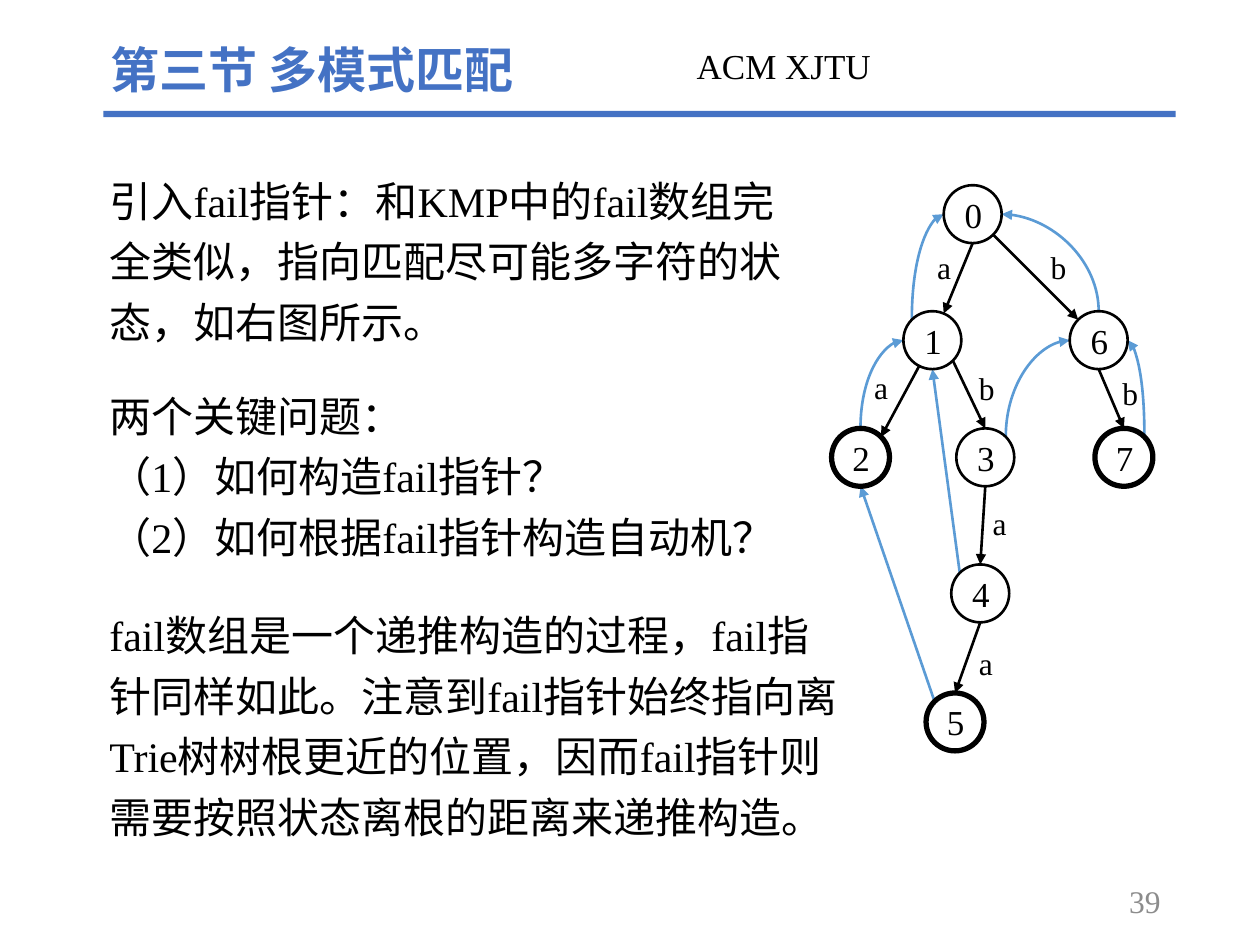
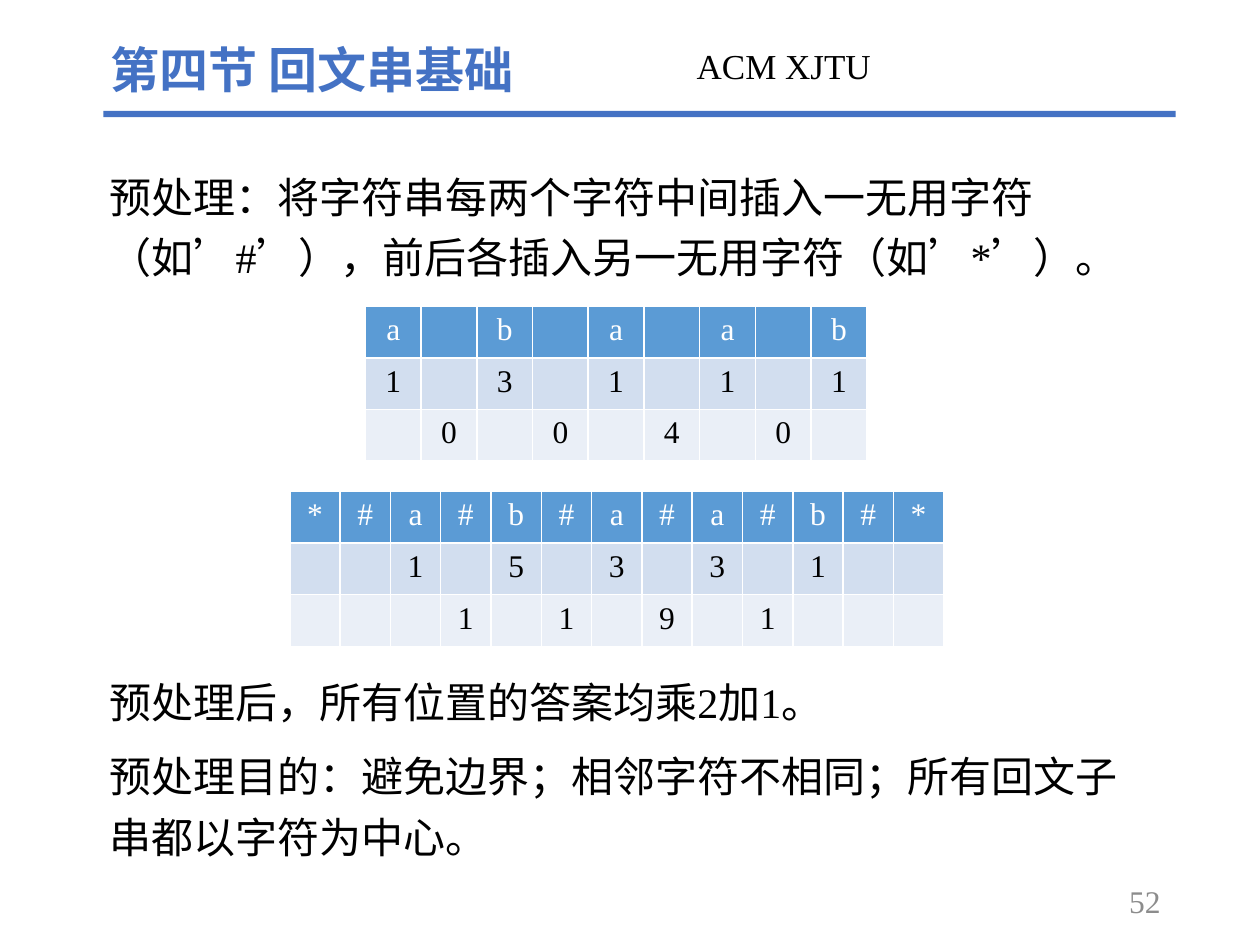
from math import cos, radians, sin

from lxml import etree
from pptx import Presentation
from pptx.dml.color import RGBColor
from pptx.enum.shapes import MSO_CONNECTOR, MSO_SHAPE
from pptx.enum.text import MSO_ANCHOR, MSO_AUTO_SIZE, PP_ALIGN
from pptx.oxml.ns import qn
from pptx.util import Inches, Pt

LEFT, CENTER, RIGHT = PP_ALIGN.LEFT, PP_ALIGN.CENTER, PP_ALIGN.RIGHT
TOP, MIDDLE = MSO_ANCHOR.TOP, MSO_ANCHOR.MIDDLE
STRAIGHT, CURVE = MSO_CONNECTOR.STRAIGHT, MSO_CONNECTOR.CURVE

LATIN_FONT = "Times New Roman"
CJK_FONT = "Noto Sans CJK SC"
BLACK, WHITE, GRAY = "000000", "FFFFFF", "8C8C8C"
TITLE_BLUE, FAIL_BLUE = "4472C4", "5B9BD5"
ROW_FILLS = ("5B9BD5", "D2DEEF", "EAEFF7")

TEXT_LEFT = 0.77
ROW_HEIGHT = 0.41
RADIUS = 0.23

# Angles on a node, clockwise from the right
E, SE, S, W, NW, N, NE = 0, 45, 90, 180, 225, 270, 315

# state: (centre x, centre y)
NODES = {
    "0": (7.72, 1.7), "1": (7.4, 2.7), "6": (8.72, 2.7),
    "2": (6.83, 3.63), "3": (7.82, 3.63), "7": (8.92, 3.63),
    "4": (7.78, 4.71), "5": (7.58, 5.73),
}
FINAL_STATES = "257"

# from state, angle, to state, angle, letter, letter's left and top
TRIE_EDGES = (
    ("0", S, "1", 293, "a", 7.34, 1.92),
    ("0", SE, "6", NW, "b", 8.24, 1.92),
    ("1", 117, "2", NE, "a", 6.84, 2.87),
    ("1", SE, "3", N, "b", 7.67, 2.88),
    ("6", S, "7", N, "b", 8.81, 2.92),
    ("3", S, "4", N, "a", 7.78, 3.95),
    ("4", S, "5", N, "a", 7.67, 5.06),
)
FAIL_LINKS = (
    ("1", NW, "0", W), ("6", N, "0", E), ("2", N, "1", W), ("3", NE, "6", W),
    ("7", NE, "6", E), ("4", NW, "1", S), ("5", NW, "2", S),
)

PLAIN_ROWS = (
    ("a", "", "b", "", "a", "", "a", "", "b"),
    ("1", "", "3", "", "1", "", "1", "", "1"),
    ("", "0", "", "0", "", "4", "", "0", ""),
)
PADDED_ROWS = (
    ("*", "#", "a", "#", "b", "#", "a", "#", "a", "#", "b", "#", "*"),
    ("", "", "1", "", "5", "", "3", "", "3", "", "1", "", ""),
    ("", "", "", "1", "", "1", "", "9", "", "1", "", "", ""),
)


def color(value):
    return RGBColor.from_string(value)


def write(frame, text, size=24, fill=BLACK, font=LATIN_FONT, bold=False,
          align=LEFT, anchor=TOP, spacing=1.0, bullets_off=False):
    """Fill a text frame; each line of text becomes one paragraph."""
    frame.word_wrap = True
    frame.vertical_anchor = anchor
    for index, line in enumerate(text.split("\n")):
        para = frame.add_paragraph() if index else frame.paragraphs[0]
        if bullets_off:
            properties = para._p.get_or_add_pPr()
            properties.set("marL", "0")
            properties.set("indent", "0")
            etree.SubElement(properties, qn("a:buNone"))
        para.alignment = align
        para.line_spacing = spacing
        para.space_before = Pt(0)
        span = para.add_run()
        span.text = line
        span.font.name = font
        span.font.size = Pt(size)
        span.font.bold = bold
        span.font.color.rgb = color(fill)
        east_asian = etree.SubElement(span._r.get_or_add_rPr(), qn("a:ea"))
        east_asian.set("typeface", CJK_FONT)


def place(shape, left, top, width, height):
    shape.left, shape.top = Inches(left), Inches(top)
    shape.width, shape.height = Inches(width), Inches(height)


def add_text(page, text, left, top, width, height, **style):
    box = page.shapes.add_textbox(Inches(left), Inches(top),
                                  Inches(width), Inches(height))
    write(box.text_frame, text, **style)


def add_passage(page, text, top, width, height):
    add_text(page, text, TEXT_LEFT, top, width, height, spacing=1.2)


def fill_placeholder(holder, text, left, top, width, height, **style):
    place(holder, left, top, width, height)
    holder.text_frame.auto_size = MSO_AUTO_SIZE.NONE
    write(holder.text_frame, text, **style)


def add_page(deck, title, number, body, body_top, body_width, body_height):
    """Start a slide with title, header rule, page number and main passage."""
    page = deck.slides.add_slide(deck.slide_layouts[1])
    rule = page.shapes.add_shape(MSO_SHAPE.RECTANGLE, Inches(0.82), Inches(0.88),
                                 Inches(8.51), Inches(0.05))
    rule.shadow.inherit = False
    rule.fill.solid()
    rule.fill.fore_color.rgb = color(TITLE_BLUE)
    rule.line.fill.background()
    fill_placeholder(page.shapes.title, title, 0.78, 0.26, 4.37, 0.57,
                     size=28, fill=TITLE_BLUE, font=CJK_FONT, bold=True)
    fill_placeholder(page.placeholders[1], body, TEXT_LEFT, body_top,
                     body_width, body_height, spacing=1.2, bullets_off=True)
    add_text(page, "ACM XJTU", 5.43, 0.34, 2.51, 0.52, size=20, spacing=0.9)
    add_text(page, number, 7.06, 6.95, 2.25, 0.4, size=18, fill=GRAY,
             align=RIGHT, anchor=MIDDLE)
    return page


def add_node(page, state):
    x, y = NODES[state]
    node = page.shapes.add_shape(
        MSO_SHAPE.OVAL, Inches(x - RADIUS), Inches(y - RADIUS),
        Inches(2 * RADIUS), Inches(2 * RADIUS))
    node.shadow.inherit = False
    node.fill.background()
    node.line.color.rgb = color(BLACK)
    node.line.width = Pt(3 if state in FINAL_STATES else 1.5)
    write(node.text_frame, state, size=20, align=CENTER, anchor=MIDDLE)


def rim_point(state, angle):
    x, y = NODES[state]
    return (Inches(x + RADIUS * cos(radians(angle))),
            Inches(y + RADIUS * sin(radians(angle))))


def add_arrow(page, source, source_angle, target, target_angle, stroke):
    """Arrow between two nodes, bent when it enters from the left or right."""
    start = rim_point(source, source_angle)
    end = rim_point(target, target_angle)
    if target_angle in (E, W):
        # The quarter curve leaves its first point sideways: draw it from the target
        arrow = page.shapes.add_connector(CURVE, *end, *start)
        geometry = arrow._element.spPr.find(qn("a:prstGeom"))
        geometry.set("prst", "curvedConnector2")
        arrow_end = "a:headEnd"
    else:
        arrow = page.shapes.add_connector(STRAIGHT, *start, *end)
        arrow_end = "a:tailEnd"
    arrow.line.color.rgb = color(stroke)
    arrow.line.width = Pt(1.5)
    etree.SubElement(arrow.line._get_or_add_ln(), qn(arrow_end)).set("type", "triangle")
    etree.SubElement(arrow._element.spPr, qn("a:effectLst"))


def add_trie(page):
    for link in FAIL_LINKS:
        add_arrow(page, *link, FAIL_BLUE)
    for state in NODES:
        add_node(page, state)
    for *ends, letter, left, top in TRIE_EDGES:
        add_arrow(page, *ends, BLACK)
        add_text(page, letter, left, top, 0.34, 0.4, size=18)


def add_grid(page, rows, left, top, width):
    columns = len(rows[0])
    table = page.shapes.add_table(
        len(rows), columns, Inches(left), Inches(top),
        Inches(width), Inches(ROW_HEIGHT * len(rows))).table
    for column in table.columns:
        column.width = Inches(width / columns)
    for index, (values, fill) in enumerate(zip(rows, ROW_FILLS)):
        table.rows[index].height = Inches(ROW_HEIGHT)
        for cell, value in zip(table.rows[index].cells, values):
            cell.fill.solid()
            cell.fill.fore_color.rgb = color(fill)
            if value:
                write(cell.text_frame, value, size=18, align=CENTER,
                      fill=BLACK if index else WHITE)


def build_fail_page(deck):
    page = add_page(
        deck, "第三节 多模式匹配", "39",
        "引入fail指针：和KMP中的fail数组完全类似，指向匹配尽可能多字符的状态，如右图所示。",
        1.26, 5.68, 1.56)
    add_passage(page, "两个关键问题：\n（1）如何构造fail指针？\n"
                "（2）如何根据fail指针构造自动机？", 2.97, 5.68, 1.56)
    add_passage(page, "fail数组是一个递推构造的过程，fail指针同样如此。"
                "注意到fail指针始终指向离Trie树树根更近的位置，"
                "因而fail指针则需要按照状态离根的距离来递推构造。", 4.71, 5.99, 2.04)
    add_trie(page)


def build_palindrome_page(deck):
    page = add_page(
        deck, "第四节 回文串基础", "52",
        "预处理：将字符串每两个字符中间插入一无用字符（如’#’），"
        "前后各插入另一无用字符（如’*’）。", 1.23, 8.24, 1.07)
    add_grid(page, PLAIN_ROWS, 2.9, 2.43, 3.98)
    add_grid(page, PADDED_ROWS, 2.3, 3.9, 5.19)
    add_passage(page, "预处理后，所有位置的答案均乘2加1。", 5.24, 8.24, 0.59)
    add_passage(page, "预处理目的：避免边界；相邻字符不相同；"
                "所有回文子串都以字符为中心。", 5.83, 8.24, 1.07)


def main():
    deck = Presentation()
    deck.slide_width, deck.slide_height = Inches(10), Inches(7.5)
    build_fail_page(deck)
    build_palindrome_page(deck)
    deck.save("out.pptx")


if __name__ == "__main__":
    main()
